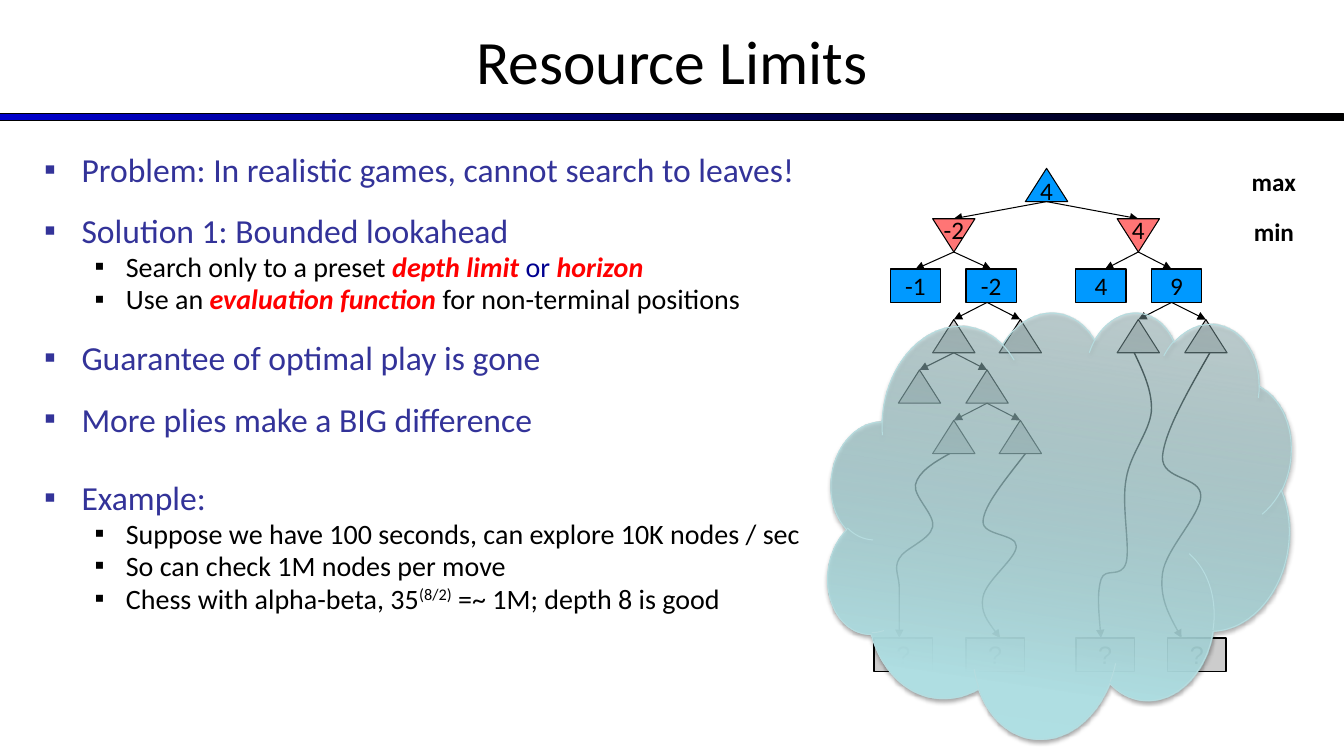
from pptx import Presentation
from pptx.dml.color import RGBColor
from pptx.enum import shapes, text
from pptx.oxml import parse_xml
from pptx.oxml.ns import nsdecls, qn
from pptx.util import Inches, Pt

BLACK, NAVY, RED, GREY, BLUE, PINK = "000000", "333399", "FF0000", "CCCCCC", "0099FF", "FF7575"
KEY = {"color": RED, "bold": True, "italic": True}

POINTS = [
    (0, 0, ["Problem: In realistic games, cannot search to leaves!"]),
    (0, 20.4, ["Solution 1: Bounded lookahead"]),
    (1, 4, ["Search only to a preset ", ("depth limit", KEY), (" or ", {"color": "000090"}), ("horizon", KEY)]),
    (1, 4, ["Use an ", ("evaluation function ", KEY), "for non-terminal positions"]),
    (0, 21, ["Guarantee of optimal play is gone"]),
    (0, 21, ["More plies make a BIG difference"]),
    (0, 33, ["Example:"]),
    (1, 4, ["Suppose we have 100 seconds, can explore 10K nodes / sec"]),
    (1, 4, ["So can check 1M nodes per move"]),
    (1, 4, ["Chess with alpha-beta, 35", ("(8/2)", {"raised": True}), " =~ 1M; depth 8 is good"]),
]
LEVELS = [
    {"size": 24, "color": NAVY, "margin": 0.37, "indent": -0.37},
    {"size": 20, "color": BLACK, "margin": 0.81, "indent": -0.31},
]

BRANCHES = [
    (0, 10.38, (9.46, 11.29)),
    (1, 9.46, (9.08, 9.83)),
    (1, 11.29, (10.96, 11.62)),
    (2, 9.79, (9.46, 10.12)),
    (2, 11.62, (11.29, 11.96)),
    (3, 9.46, (9.12, 9.79)),
    (4, 9.79, (9.46, 10.12)),
]
MIN_NODES = [(9.46, "-2"), (11.29, "4")]
LEAVES = [(8.83, "-1"), (9.58, "-2"), (10.67, "4"), (11.42, "9")]
UNKNOWN_LEFTS = [8.67, 9.58, 10.67, 11.58]
DEEP_PATHS = [
    [(9.42, 4.5), (9.26, 4.59), (9.11, 4.68), (9.08, 4.81), (9.06, 4.93), (9.28, 5.11), (9.25, 5.23),
     (9.22, 5.36), (8.97, 5.44), (8.92, 5.54), (8.86, 5.64), (8.92, 5.71), (8.92, 5.84),
     (8.92, 5.98), (8.92, 6.16), (8.92, 6.33)],
    [(10.17, 4.5), (9.97, 4.76), (9.76, 5.01), (9.75, 5.17), (9.74, 5.32), (10.08, 5.29), (10.08, 5.42),
     (10.08, 5.54), (9.78, 5.76), (9.75, 5.92), (9.72, 6.07), (9.82, 6.2), (9.92, 6.33)],
    [(12, 3.5), (11.77, 3.9), (11.55, 4.29), (11.53, 4.53), (11.52, 4.77), (11.91, 4.72), (11.91, 4.92),
     (11.91, 5.11), (11.56, 5.45), (11.53, 5.69), (11.5, 5.93), (11.61, 6.13), (11.72, 6.33)],
    [(11.25, 3.5), (11.34, 3.69), (11.43, 3.88), (11.42, 4.08), (11.4, 4.29), (11.21, 4.5), (11.17, 4.75),
     (11.12, 5), (11.21, 5.42), (11.17, 5.58), (11.12, 5.75), (10.96, 5.62), (10.92, 5.75),
     (10.88, 5.88), (10.9, 6.1), (10.92, 6.33)],
]

TOP, STEP, NODE_W, NODE_H = 1.67, 0.5, 0.42, 0.33
MIDDLE, BOTTOM = text.MSO_ANCHOR.MIDDLE, text.MSO_ANCHOR.BOTTOM
KIND = shapes.MSO_SHAPE

deck = Presentation()
deck.slide_width, deck.slide_height = Inches(13.33), Inches(7.5)
page = deck.slides.add_slide(deck.slide_layouts[6])


def rgb(code):
    return RGBColor.from_string(code)


def xml(tag, attributes="", inner=""):
    return parse_xml(f"<a:{tag} {nsdecls('a')} {attributes}>{inner}</a:{tag}>")


def add_span(para, words, size=18, color=BLACK, font="Calibri", bold=False, italic=False, raised=False):
    span = para.add_run()
    span.text = words
    span.font.name, span.font.size = font, Pt(size)
    span.font.bold, span.font.italic = bold, italic
    span.font.color.rgb = rgb(color)
    if raised:
        span.font._element.set("baseline", "30000")


def write(box, words, anchor=MIDDLE, top=0.05, wrap=False, **style):
    frame = box.text_frame
    frame.word_wrap, frame.vertical_anchor, frame.margin_top = wrap, anchor, Inches(top)
    para = frame.paragraphs[0]
    para.alignment = text.PP_ALIGN.CENTER
    add_span(para, words, **style)
    return frame


def text_box(left, top, width, height):
    return page.shapes.add_textbox(*map(Inches, (left, top, width, height)))


def outline(shape, width, color=BLACK):
    shape.line.color.rgb, shape.line.width = rgb(color), Pt(width)


def add_part(kind, left, top, width, height, fill=None, weight=0.75, line=BLACK):
    part = page.shapes.add_shape(kind, *map(Inches, (left, top, width, height)))
    part.shadow.inherit = False
    outline(part, weight, line)
    if fill:
        part.fill.solid()
        part.fill.fore_color.rgb = rgb(fill)
    return part


def blend(shape, stops, angle):
    shape.fill.gradient()
    fill = shape._element.spPr.find(qn("a:gradFill"))
    fill.clear()
    fill.set("rotWithShape", "1")
    marks = "".join(
        f'<a:gs pos="{pos * 1000}"><a:srgbClr val="{color}"><a:alpha val="{alpha * 1000}"/></a:srgbClr></a:gs>'
        for pos, color, alpha in stops)
    fill.append(xml("gsLst", inner=marks))
    fill.append(xml("lin", f'ang="{angle * 60000}" scaled="0"'))


def add_arrowhead(shape):
    shape.line._get_or_add_ln().append(xml("tailEnd", 'type="triangle"'))


def row_top(level):
    return TOP + STEP * level


def add_triangle(center, level, fill):
    return add_part(KIND.ISOSCELES_TRIANGLE, center - NODE_W / 2, row_top(level), NODE_W, NODE_H, fill)


def add_arrow(start_x, end_x, level):
    arrow = page.shapes.add_connector(
        shapes.MSO_CONNECTOR.STRAIGHT,
        *map(Inches, (start_x, row_top(level) + NODE_H, end_x, row_top(level + 1))))
    outline(arrow, 0.75)
    add_arrowhead(arrow)
    arrow._element.spPr.append(xml("effectLst"))


def add_curve(points):
    start, *rest = [(Inches(x), Inches(y)) for x, y in points]
    builder = page.shapes.build_freeform(*start)
    builder.add_line_segments(rest, close=False)
    curve = builder.convert_to_shape()
    curve.shadow.inherit = False
    curve.fill.background()
    outline(curve, 1)
    add_arrowhead(curve)
    segments = list(curve._element.iter(qn("a:lnTo")))
    for i in range(0, len(segments), 3):
        bend = xml("cubicBezTo")
        segments[i].addprevious(bend)
        for segment in segments[i:i + 3]:
            bend.append(segment[0])
            segment.getparent().remove(segment)


def add_points():
    frame = text_box(0.34, 1.51, 7.75, 4.95).text_frame
    frame.word_wrap = True
    for i, (level, gap, spans) in enumerate(POINTS):
        look = LEVELS[level]
        para = frame.add_paragraph() if i else frame.paragraphs[0]
        props = para._p.get_or_add_pPr()
        props.set("marL", str(Inches(look["margin"])))
        props.set("indent", str(Inches(look["indent"])))
        props.append(xml("buClr", inner=f'<a:srgbClr val="{look["color"]}"/>'))
        props.append(xml("buFont", 'typeface="Arial"'))
        props.append(xml("buChar", 'char="▪"'))
        para.level, para.line_spacing, para.space_before = level, 0.8, Pt(gap)
        for item in spans:
            words, extra = (item, {}) if isinstance(item, str) else item
            add_span(para, words, **{"size": look["size"], "color": look["color"], **extra})


def add_tree():
    for level, parent, children in BRANCHES:
        for child in children:
            add_arrow(parent, child, level)
            if level >= 2:
                add_triangle(child, level + 1, GREY)
    for left in UNKNOWN_LEFTS:
        write(add_part(KIND.RECTANGLE, left, 6.33, 0.58, NODE_H, GREY, 1), "?", font="Arial")
    for points in DEEP_PATHS:
        add_curve(points)
    for left, value in LEAVES:
        write(add_part(KIND.RECTANGLE, left, row_top(2), 0.5, NODE_H, BLUE, 1), value)
    write(add_triangle(10.38, 0, BLUE), "4", anchor=BOTTOM, top=0.2)
    for center, value in MIN_NODES:
        node = add_triangle(center, 1, PINK)
        node.rotation = 180
        write(node, value, top=0.1)._txBody.bodyPr.set("rot", "10800000")
    for level, label in enumerate(("max", "min")):
        write(text_box(12.27, 1.6 + STEP * level, 0.73, 0.4), label, wrap=True, bold=True)


def add_cloud():
    cloud = add_part(KIND.CLOUD, 8.21, 3, 4.58, 4.33, line="B6DCDF")
    cloud.rotation = 8.4
    blend(cloud, [(0, "87ABAE", 30), (80, "AFDEE2", 100), (100, "AFE0E4", 100)], 90)
    cloud._element.spPr.find(qn("a:effectLst")).append(xml(
        "outerShdw", f'blurRad="{Pt(3.1)}" dist="{Pt(1.8)}" dir="5400000" rotWithShape="0"',
        '<a:srgbClr val="000000"><a:alpha val="35000"/></a:srgbClr>'))


blend(add_part(KIND.RECTANGLE, 0, 1.13, 13.33, 0.07), [(0, "0000CC", 100), (100, BLACK, 100)], 0)
write(text_box(0, -0.03, 13.33, 1.25), "Resource Limits", wrap=True, size=44)
add_points()
add_tree()
add_cloud()
deck.save("out.pptx")
